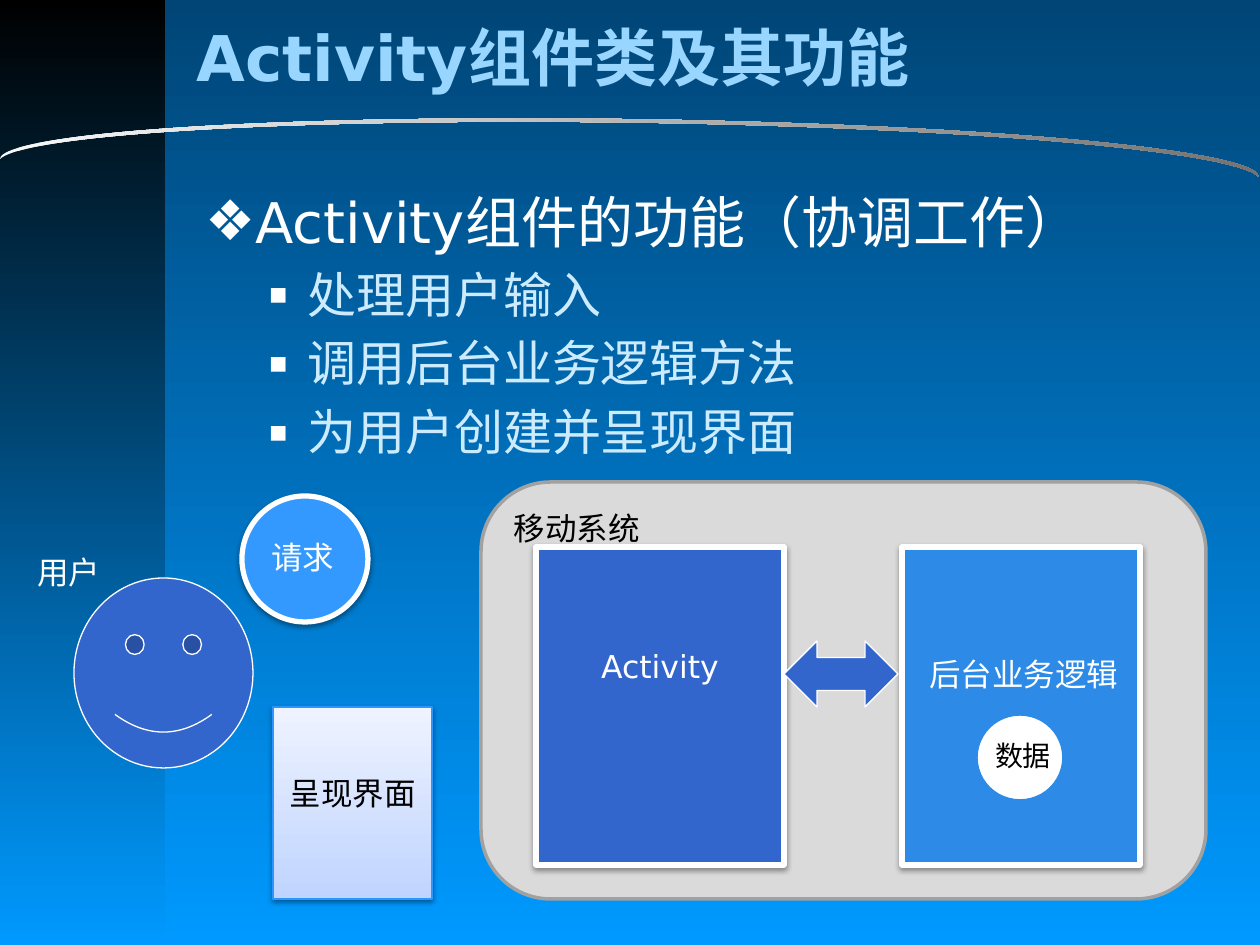
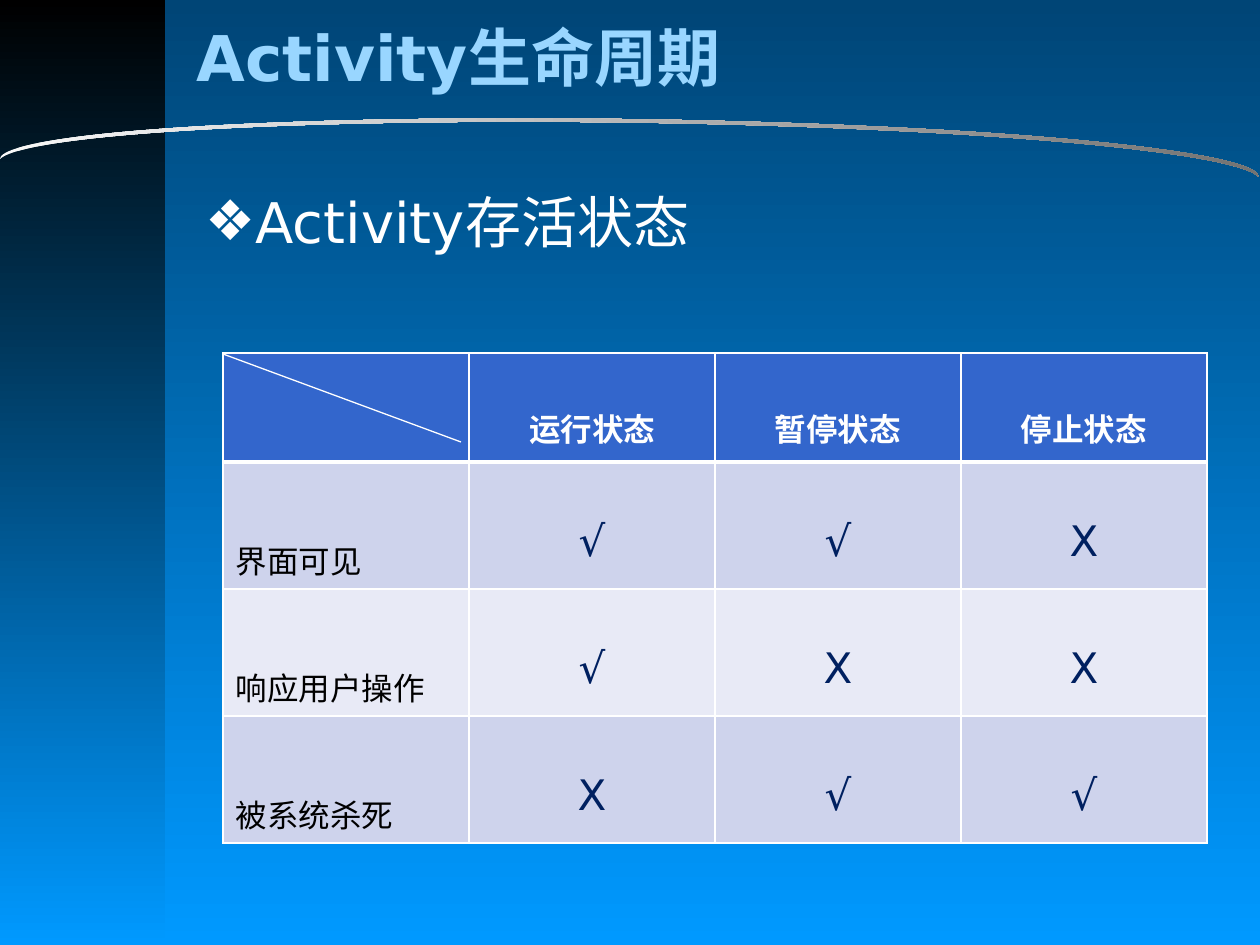
from dataclasses import dataclass

from lxml import etree
from pptx import Presentation
from pptx import util as u
from pptx.dml.color import RGBColor
from pptx.enum import shapes, text
from pptx.oxml import ns

EMU_PER_PX = 914400 / 126
PRESET = shapes.MSO_SHAPE
ALIGN = text.PP_ALIGN


@dataclass(frozen=True)
class Theme:
    font: str = "DejaVu Sans"
    white: str = "FFFFFF"
    black: str = "000000"
    sky_top: str = "004576"
    sky: str = "0099FF"
    arc_start: str = "F8F8F8"
    arc_end: str = "737373"
    title: str = "99D6FF"
    pale: str = "CCEBFF"
    royal: str = "3366CC"
    azure: str = "2D8AE7"
    request: str = "3399FF"
    screen_top: str = "EEF3FF"
    screen_bottom: str = "BFD4FF"
    screen_line: str = "2D96FE"
    system: str = "DADADA"
    system_line: str = "A1A1A1"
    row_dark: str = "CED3EC"
    row_light: str = "E8EAF6"
    mark: str = "002060"
    title_size: int = 36
    heading_size: int = 32
    point_size: int = 28
    mark_size: int = 24
    label_size: int = 18
    small_size: int = 16


THEME = Theme()


def px(value):
    return u.Emu(round(value * EMU_PER_PX))


def box(left, top, width, height):
    return px(left), px(top), px(width), px(height)


def rgb(color):
    return RGBColor.from_string(color)


def add_xml(parent, tag, **attributes):
    return etree.SubElement(parent, ns.qn(tag), attributes)


def write(paragraph, content, size=THEME.label_size, color=THEME.white,
          bold=False, align=ALIGN.LEFT, spacing=None):
    paragraph.alignment = align
    if spacing:
        paragraph.line_spacing = spacing
    run = paragraph.add_run()
    run.text = content
    run.font.name = THEME.font
    run.font.size = u.Pt(size)
    run.font.bold = bold
    run.font.color.rgb = rgb(color)


def paint(fill, colors):
    if isinstance(colors, str):
        fill.solid()
        fill.fore_color.rgb = rgb(colors)
        return
    fill.gradient()
    fill.gradient_angle = 270
    for stop, color in zip(fill.gradient_stops, colors):
        stop.color.rgb = rgb(color)


def add_shadow(shape):
    effects = shape._element.spPr.find(ns.qn("a:effectLst"))
    shadow = add_xml(effects, "a:outerShdw", blurRad="40000", dist="20000",
                     dir="5400000", rotWithShape="0")
    color = add_xml(shadow, "a:srgbClr", val=THEME.black)
    add_xml(color, "a:alpha", val="38000")


def add_figure(slide, preset, bounds, fill, line=None, width=0.75, shadow=False):
    shape = slide.shapes.add_shape(preset, *box(*bounds))
    shape.shadow.inherit = False
    paint(shape.fill, fill)
    if line:
        shape.line.color.rgb = rgb(line)
        shape.line.width = u.Pt(width)
    else:
        shape.line.fill.background()
    if shadow:
        add_shadow(shape)
    return shape


def add_label(slide, content, bounds, align=ALIGN.CENTER, **style):
    frame = slide.shapes.add_textbox(*box(*bounds)).text_frame
    frame.word_wrap = True
    frame.auto_size = text.MSO_AUTO_SIZE.SHAPE_TO_FIT_TEXT
    write(frame.paragraphs[0], content, align=align, **style)


def set_bullet(paragraph, character, margin, hanging, percent):
    properties = paragraph._p.get_or_add_pPr()
    properties.set("marL", str(px(margin)))
    properties.set("indent", str(-px(hanging)))
    before = add_xml(properties, "a:spcBef")
    add_xml(before, "a:spcPct", val="20000")
    color = add_xml(properties, "a:buClr")
    add_xml(color, "a:srgbClr", val=THEME.white)
    add_xml(properties, "a:buSzPct", val=str(percent * 1000))
    add_xml(properties, "a:buFont", typeface=THEME.font)
    add_xml(properties, "a:buChar", char=character)


def add_outline(slide, height, heading, points=()):
    frame = slide.shapes.add_textbox(*box(193, 181, 1042, height)).text_frame
    frame.word_wrap = True
    paragraph = frame.paragraphs[0]
    write(paragraph, heading, size=THEME.heading_size)
    set_bullet(paragraph, "❖", 48, 48, 100)
    for point in points:
        paragraph = frame.add_paragraph()
        write(paragraph, point, size=THEME.point_size, color=THEME.pale)
        set_bullet(paragraph, "▪", 102, 39, 60)


def add_titled_slide(presentation, title):
    slide = presentation.slides.add_slide(presentation.slide_layouts[5])
    shape = slide.shapes.title
    shape.left, shape.top, shape.width, shape.height = box(184, 14, 955, 84)
    frame = shape.text_frame
    frame.auto_size = text.MSO_AUTO_SIZE.NONE
    frame.vertical_anchor = text.MSO_ANCHOR.MIDDLE
    write(frame.paragraphs[0], title, size=THEME.title_size,
          color=THEME.title, bold=True)
    return slide


def decorate_layout(slide):
    layout = slide.slide_layout
    paint(layout.background.fill, (THEME.sky_top, THEME.sky))
    band = add_figure(slide, PRESET.RECTANGLE, (0, 0, 165, 945),
                      (THEME.black, THEME.sky))
    arc = add_figure(slide, PRESET.MOON, (605, -486, 49, 1259),
                     (THEME.arc_start, THEME.arc_end))
    arc.adjustments[0] = 0.07
    arc.rotation = 270.8
    arc._element.spPr.xfrm.set("flipH", "1")
    for shape in (band, arc):
        layout.shapes._spTree.append(shape._element)


def add_user_side(slide):
    add_figure(slide, PRESET.SMILEY_FACE, (74, 578, 179, 190),
               THEME.royal, THEME.white)
    add_figure(slide, PRESET.OVAL, (242, 496, 126, 126), THEME.request,
               THEME.white, width=3, shadow=True)
    add_figure(slide, PRESET.RECTANGLE, (273, 707, 159, 192),
               (THEME.screen_top, THEME.screen_bottom),
               THEME.screen_line, shadow=True)
    add_label(slide, "用户", (25, 547, 92, 50), align=ALIGN.LEFT)
    add_label(slide, "请求", (253, 532, 100, 50))
    add_label(slide, "呈现界面", (273, 768, 159, 50), color=THEME.black)


def add_system_side(slide):
    system = add_figure(slide, PRESET.ROUNDED_RECTANGLE, (481, 482, 725, 417),
                        THEME.system, THEME.system_line, width=2)
    system.text_frame.vertical_anchor = text.MSO_ANCHOR.TOP
    write(system.text_frame.paragraphs[0], "移动系统", color=THEME.black)
    for left, width, color in ((536, 248, THEME.royal), (902, 238, THEME.azure)):
        add_figure(slide, PRESET.RECTANGLE, (left, 547, width, 318), color,
                   THEME.white, width=3, shadow=True)
    add_figure(slide, PRESET.LEFT_RIGHT_ARROW, (784, 641, 114, 66),
               THEME.royal, THEME.white)
    add_figure(slide, PRESET.OVAL, (976, 714, 88, 87), THEME.white,
               THEME.azure, width=2)
    add_label(slide, "Activity", (536, 641, 248, 50))
    add_label(slide, "后台业务逻辑", (905, 649, 238, 50))
    add_label(slide, "数据", (979, 732, 88, 47), size=THEME.small_size,
              color=THEME.black)


def set_borders(cell, **widths):
    properties = cell._tc.get_or_add_tcPr()
    for index, side in enumerate("LRTB"):
        line = etree.Element(ns.qn(f"a:ln{side}"),
                             {"w": str(u.Pt(widths.get(side, 1)))})
        fill = add_xml(line, "a:solidFill")
        add_xml(fill, "a:srgbClr", val=THEME.white)
        properties.insert(index, line)


def format_cell(cell, content, row, column):
    if row == 0:
        color = THEME.royal
        style = dict(bold=True, align=ALIGN.CENTER, spacing=2.0)
    else:
        color = THEME.row_dark if row % 2 else THEME.row_light
        if column:
            style = dict(size=THEME.mark_size, color=THEME.mark,
                         align=ALIGN.CENTER, spacing=2.0)
        else:
            style = dict(color=THEME.black, spacing=2.5)
    paint(cell.fill, color)
    set_borders(cell, **{0: {"B": 3}, 1: {"T": 3}}.get(row, {}))
    if content:
        write(cell.text_frame.paragraphs[0], content, **style)


def add_state_table(slide, rows):
    header_height, row_height, column_width = 109, 127, 246
    height = header_height + row_height * (len(rows) - 1)
    table = slide.shapes.add_table(
        len(rows), len(rows[0]),
        *box(223, 353, column_width * len(rows[0]), height)).table
    table.first_row = table.horz_banding = False
    for row, contents in enumerate(rows):
        table.rows[row].height = px(row_height if row else header_height)
        for column, content in enumerate(contents):
            format_cell(table.cell(row, column), content, row, column)


def add_line(slide, start, end):
    line = slide.shapes.add_connector(shapes.MSO_CONNECTOR.STRAIGHT,
                                      *box(*start, *end))
    line.line.color.rgb = rgb(THEME.white)
    line.line.width = u.Pt(0.75)
    add_xml(line._element.spPr, "a:effectLst")


def main():
    presentation = Presentation()
    presentation.slide_width, presentation.slide_height = px(1260), px(945)

    functions = add_titled_slide(presentation, "Activity组件类及其功能")
    decorate_layout(functions)
    add_outline(functions, 301, "Activity组件的功能（协调工作）",
                ("处理用户输入", "调用后台业务逻辑方法", "为用户创建并呈现界面"))
    add_system_side(functions)
    add_user_side(functions)

    lifecycle = add_titled_slide(presentation, "Activity生命周期")
    add_outline(lifecycle, 683, "Activity存活状态")
    add_state_table(lifecycle, (
        ("", "运行状态", "暂停状态", "停止状态"),
        ("界面可见", "√", "√", "Х"),
        ("响应用户操作", "√", "Х", "Х"),
        ("被系统杀死", "Х", "√", "√"),
    ))
    add_line(lifecycle, (223, 354), (461, 442))

    presentation.save("out.pptx")


if __name__ == "__main__":
    main()
